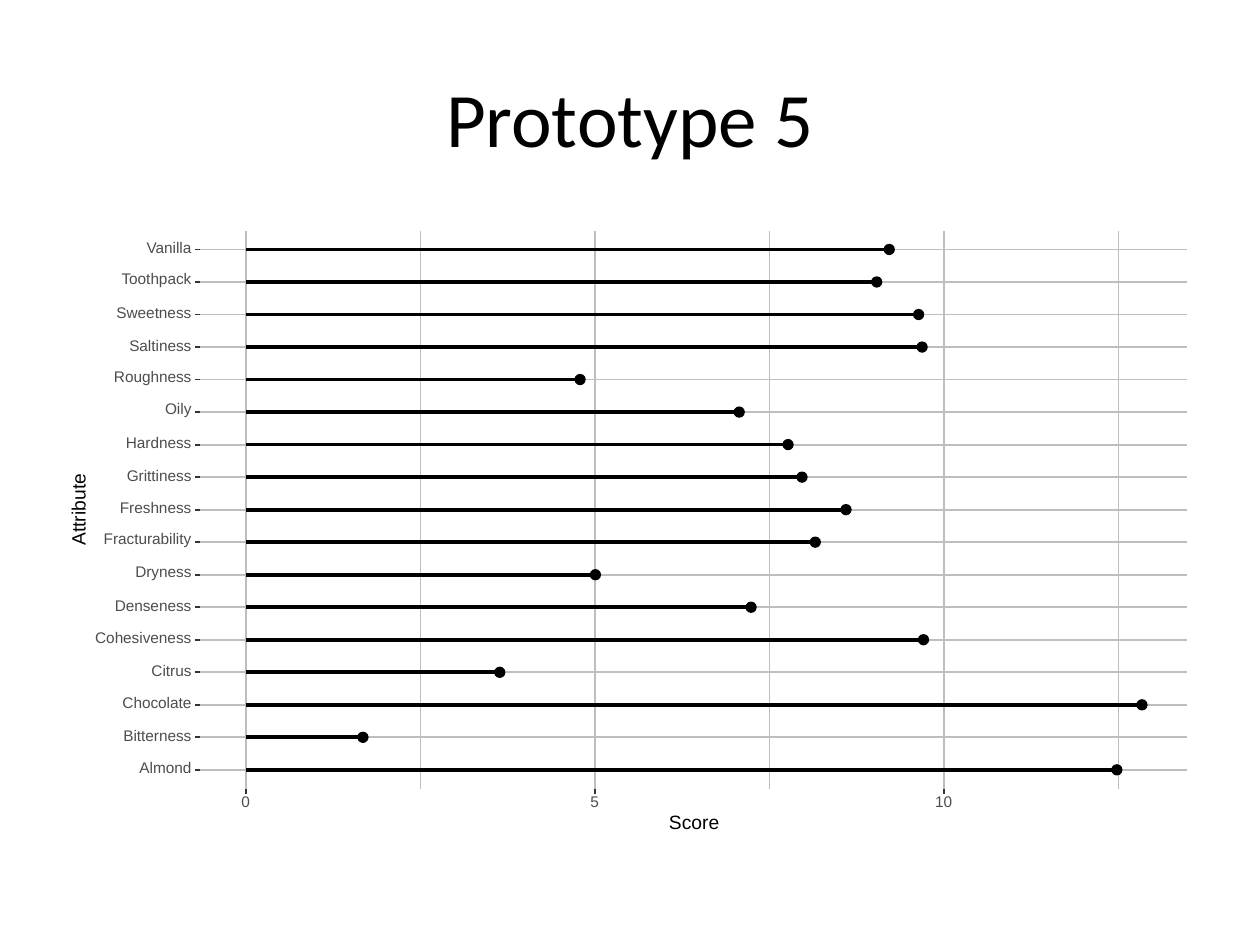
from lxml import etree
from pptx import Presentation
from pptx.dml.color import RGBColor
from pptx.enum.shapes import MSO_CONNECTOR, MSO_SHAPE
from pptx.enum.text import MSO_ANCHOR, PP_ALIGN
from pptx.oxml.ns import qn
from pptx.util import Inches, Pt

STRAIGHT = MSO_CONNECTOR.STRAIGHT
RECTANGLE, OVAL = MSO_SHAPE.RECTANGLE, MSO_SHAPE.OVAL
MIDDLE = MSO_ANCHOR.MIDDLE
CENTER, RIGHT = PP_ALIGN.CENTER, PP_ALIGN.RIGHT
color = RGBColor.from_string

PLOT_LEFT, PLOT_RIGHT = 1.59, 9.42
PLOT_TOP, PLOT_BOTTOM = 1.83, 6.26
FIRST_ROW, LAST_ROW = 6.11, 1.98
ZERO, TEN = 1.95, 7.49
TICK = 0.04
LABEL_RIGHT = 1.52
DOT = 0.08
GRID_COLOR, TICK_COLOR, LABEL_COLOR = "BEBEBE", "333333", "4D4D4D"

attributes = [
    ("Almond", 12.48, 0.44),
    ("Bitterness", 1.68, 0.57),
    ("Chocolate", 12.84, 0.58),
    ("Citrus", 3.64, 0.35),
    ("Cohesiveness", 9.71, 0.8),
    ("Denseness", 7.24, 0.64),
    ("Dryness", 5.01, 0.48),
    ("Fracturability", 8.16, 0.73),
    ("Freshness", 8.6, 0.6),
    ("Grittiness", 7.97, 0.55),
    ("Hardness", 7.77, 0.55),
    ("Oily", 7.07, 0.24),
    ("Roughness", 4.79, 0.65),
    ("Saltiness", 9.69, 0.53),
    ("Sweetness", 9.64, 0.63),
    ("Toothpack", 9.04, 0.6),
    ("Vanilla", 9.22, 0.4),
]
row_step = (LAST_ROW - FIRST_ROW) / (len(attributes) - 1)
rows = [FIRST_ROW + index * row_step for index in range(len(attributes))]
unit = (TEN - ZERO) / 10
major_scores = [0, 5, 10]
minor_scores = [2.5, 7.5, 12.5]

presentation = Presentation()
presentation.slide_width = Inches(10)
presentation.slide_height = Inches(7.5)
slide = presentation.slides.add_slide(presentation.slide_layouts[6])
plot = slide.shapes.add_group_shape().shapes


def add_line(x1, y1, x2, y2, line_color, width):
    line = plot.add_connector(STRAIGHT, Inches(x1), Inches(y1), Inches(x2), Inches(y2))
    line.line.color.rgb = color(line_color)
    line.line.width = Pt(width)
    etree.SubElement(line._element.spPr, qn("a:effectLst"))


def add_label(text, left, top, width, height, size, text_color, align=CENTER):
    box = plot.add_textbox(Inches(left), Inches(top), Inches(width), Inches(height))
    frame = box.text_frame
    frame.margin_left = frame.margin_right = frame.margin_top = frame.margin_bottom = 0
    frame.word_wrap = False
    frame.vertical_anchor = MIDDLE
    paragraph = frame.paragraphs[0]
    paragraph.alignment = align
    paragraph.line_spacing = Pt(size)
    run = paragraph.add_run()
    run.text = text
    run.font.size = Pt(size)
    run.font.name = "Arial"
    run.font.color.rgb = color(text_color)
    return box


panel = plot.add_shape(RECTANGLE, Inches(0.5), Inches(1.75), Inches(9), Inches(4.95))
panel.shadow.inherit = False
panel.fill.solid()
panel.fill.fore_color.rgb = color("FFFFFF")
panel.line.color.rgb = color("FFFFFF")
panel.line.width = Pt(0.75)

for score in minor_scores:
    x = ZERO + score * unit
    add_line(x, PLOT_BOTTOM, x, PLOT_TOP, GRID_COLOR, 0.53)
for y in rows:
    add_line(PLOT_LEFT, y, PLOT_RIGHT, y, GRID_COLOR, 1.07)
for score in major_scores:
    x = ZERO + score * unit
    add_line(x, PLOT_BOTTOM, x, PLOT_TOP, GRID_COLOR, 1.07)

for (name, score, label_width), y in zip(attributes, rows):
    x = ZERO + score * unit
    dot = plot.add_shape(OVAL, Inches(x - DOT / 2), Inches(y - DOT / 2), Inches(DOT), Inches(DOT))
    dot.shadow.inherit = False
    dot.fill.solid()
    dot.fill.fore_color.rgb = color("000000")
    dot.line.color.rgb = color("000000")
    dot.line.width = Pt(0.71)
    add_line(x, y, ZERO, y, "000000", 2.13)
    rise, height = (0.07, 0.11) if set(name) & set("gpy") else (0.05, 0.09)
    add_label(name, LABEL_RIGHT - label_width, y - rise, label_width, height, 8.8, LABEL_COLOR, RIGHT)
    add_line(PLOT_LEFT - TICK, y, PLOT_LEFT, y, TICK_COLOR, 1.07)

for score in major_scores:
    x = ZERO + score * unit
    width = 0.08 * len(str(score))
    add_line(x, PLOT_BOTTOM + TICK, x, PLOT_BOTTOM, TICK_COLOR, 1.07)
    add_label(str(score), x - width / 2, 6.33, width, 0.09, 8.8, LABEL_COLOR)

add_label("Score", 5.28, 6.48, 0.46, 0.11, 11, "000000")
add_label("Attribute", 0.32, 3.99, 0.63, 0.11, 11, "000000").rotation = 270

title = slide.shapes.add_textbox(Inches(0.5), Inches(0.3), Inches(9), Inches(1.25))
title.text_frame.word_wrap = True
title.text_frame.vertical_anchor = MIDDLE
title_paragraph = title.text_frame.paragraphs[0]
title_paragraph.alignment = CENTER
title_run = title_paragraph.add_run()
title_run.text = "Prototype 5"
title_run.font.size = Pt(44)
title_run.font.name = "Calibri"
title_run.font.color.rgb = color("000000")

presentation.save("out.pptx")
